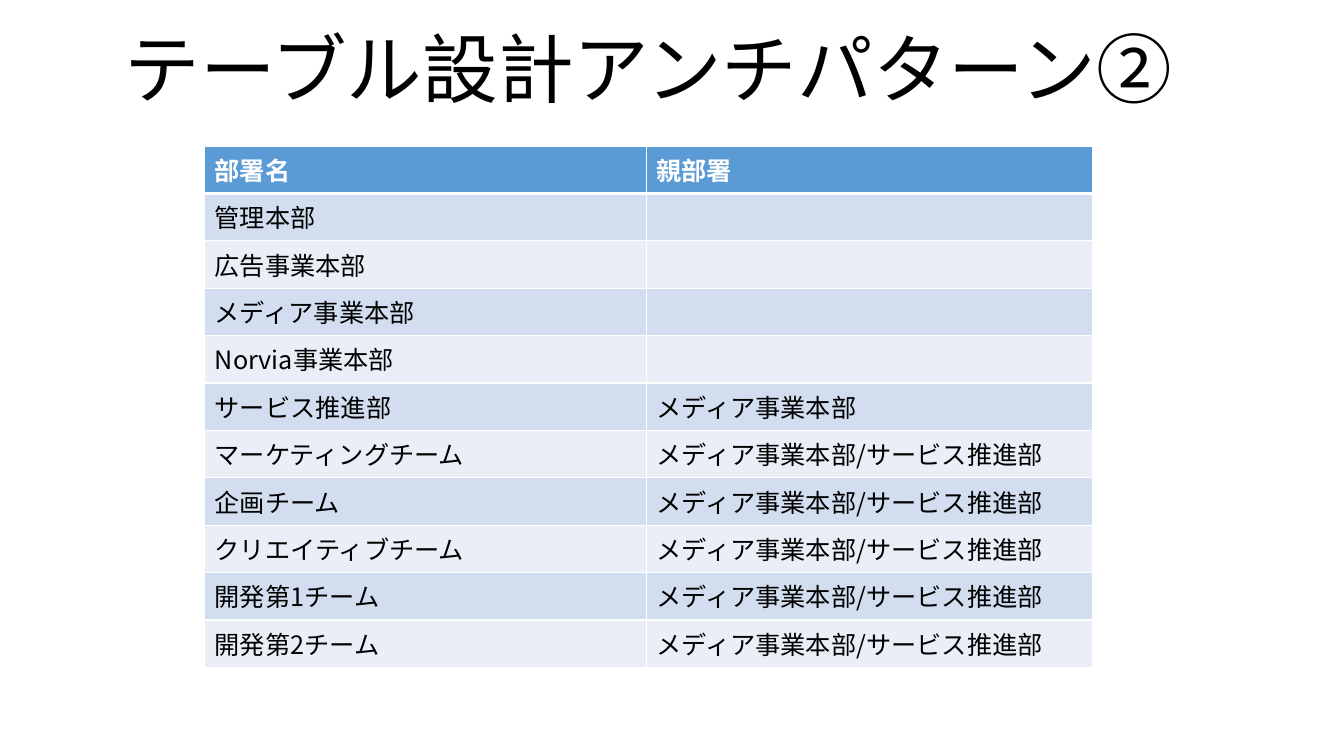
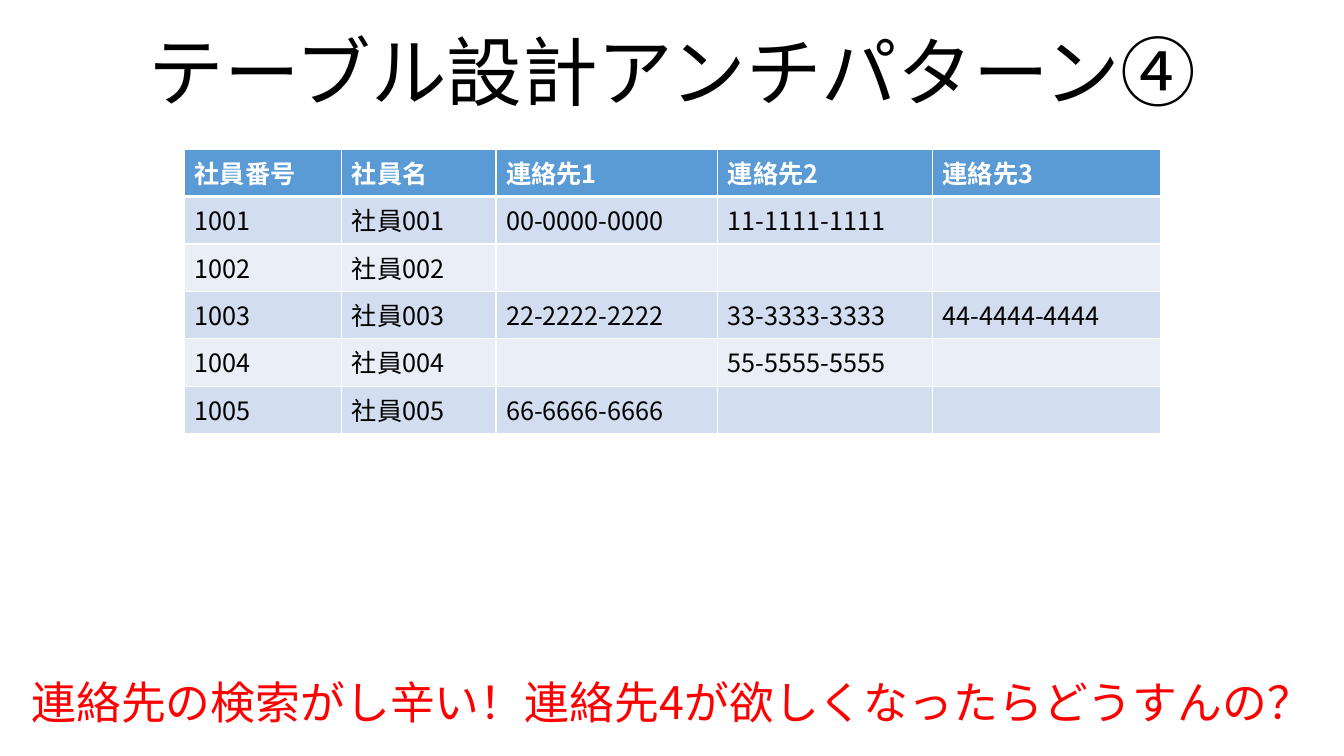
from lxml.etree import SubElement
from pptx import Presentation
from pptx.dml.color import RGBColor
from pptx.enum.text import MSO_ANCHOR as Anchor, MSO_AUTO_SIZE as AutoSize, PP_ALIGN as Align
from pptx.oxml.ns import qn
from pptx.util import Inches, Pt

WIDTH, HEIGHT = Inches(13.33), Inches(7.5)
FONT = "Noto Sans CJK JP"
COLORS = {
    "text": "000000",
    "header": "5B9BD5",
    "odd_row": "D2DEEF",
    "even_row": "EAEFF7",
    "white": "FFFFFF",
    "warning": "FF0000",
}
TITLE_FORMAT = {"size": Pt(54), "bold": False}
HEADER_FORMAT = {"size": Pt(18), "bold": True}
BODY_FORMAT = {"size": Pt(18), "bold": False}
NOTE_FORMAT = {"size": Pt(32), "bold": False}
TITLE_SIZE = (86.27, 19.33)
ROW_HEIGHT = 6.27
THIN, THICK = Pt(1), Pt(3)

SERVICE = "サービス推進部"
MEDIA = "メディア事業本部"
MEDIA_SERVICE = f"{MEDIA}/{SERVICE}"
TEAMS = ["マーケティングチーム", "企画チーム", "クリエイティブチーム", "開発第1チーム", "開発第2チーム"]
DEPARTMENTS = [
    ("部署名", "親部署"),
    ("管理本部", ""),
    ("広告事業本部", ""),
    (MEDIA, ""),
    ("Norvia事業本部", ""),
    (SERVICE, MEDIA),
    *[(team, MEDIA_SERVICE) for team in TEAMS],
]
CONTACTS = [
    ("00-0000-0000", "11-1111-1111", ""),
    ("", "", ""),
    ("22-2222-2222", "33-3333-3333", "44-4444-4444"),
    ("", "55-5555-5555", ""),
    ("66-6666-6666", "", ""),
]
EMPLOYEES = [
    ("社員番号", "社員名", "連絡先1", "連絡先2", "連絡先3"),
    *[(f"1{number:03}", f"社員{number:03}", *phones) for number, phones in enumerate(CONTACTS, 1)],
]


def across(percent):
    """Return a percentage of the slide width."""
    return round(WIDTH * percent / 100)


def down(percent):
    """Return a percentage of the slide height."""
    return round(HEIGHT * percent / 100)


def box(left, top, width, height):
    """Return a frame given in percentages of the slide."""
    return across(left), down(top), across(width), down(height)


def set_attributes(target, values):
    """Set each attribute named in a dict of values."""
    for name, value in values.items():
        setattr(target, name, value)


def write(text_frame, text, color, font_format, **paragraph_format):
    """Write one formatted paragraph."""
    paragraph = text_frame.paragraphs[0]
    set_attributes(paragraph, paragraph_format)
    run = paragraph.add_run()
    run.text = text
    set_attributes(run.font, {"name": FONT, **font_format})
    run.font.color.rgb = RGBColor.from_string(COLORS[color])
    SubElement(run.font._element, qn("a:ea"), typeface=FONT)


def add_titled_slide(presentation, title, left, top):
    """Add a title-only slide with its title in place."""
    slide = presentation.slides.add_slide(presentation.slide_layouts[5])
    shape = slide.shapes.title
    names = ("left", "top", "width", "height")
    set_attributes(shape, dict(zip(names, box(left, top, *TITLE_SIZE))))
    frame_format = {"vertical_anchor": Anchor.MIDDLE, "auto_size": AutoSize.NONE, "word_wrap": True}
    set_attributes(shape.text_frame, frame_format)
    write(shape.text_frame, title, "text", TITLE_FORMAT, alignment=Align.CENTER, line_spacing=0.9)
    return slide


def set_borders(cell, top, bottom):
    """Draw white borders around a cell."""
    properties = cell._tc.get_or_add_tcPr()
    for side, width in {"L": THIN, "R": THIN, "T": top, "B": bottom}.items():
        line = SubElement(properties, qn(f"a:ln{side}"), w=str(width))
        fill = SubElement(line, qn("a:solidFill"))
        SubElement(fill, qn("a:srgbClr"), val=COLORS["white"])


def format_cell(cell, text, row):
    """Fill, border and write a cell according to its row."""
    set_borders(cell, THICK if row == 1 else THIN, THICK if row == 0 else THIN)
    fill_color = "header" if row == 0 else "odd_row" if row % 2 else "even_row"
    cell.fill.solid()
    cell.fill.fore_color.rgb = RGBColor.from_string(COLORS[fill_color])
    if text:
        style = ("text", BODY_FORMAT) if row else ("white", HEADER_FORMAT)
        write(cell.text_frame, text, *style)


def add_data_table(slide, left, top, columns, rows):
    """Add a banded table with a header row."""
    frame = box(left, top, sum(columns), ROW_HEIGHT * len(rows))
    table = slide.shapes.add_table(len(rows), len(columns), *frame).table
    table.horz_banding = False
    for column, width in zip(table.columns, columns):
        column.width = across(width)
    for row, texts in enumerate(rows):
        table.rows[row].height = down(ROW_HEIGHT)
        for column, text in enumerate(texts):
            format_cell(table.cell(row, column), text, row)


def add_note(slide, text, top, height):
    """Add a warning line across the slide."""
    shape = slide.shapes.add_textbox(*box(0, top, 100, height))
    set_attributes(shape.text_frame, {"word_wrap": True, "auto_size": AutoSize.SHAPE_TO_FIT_TEXT})
    write(shape.text_frame, text, "warning", NOTE_FORMAT, alignment=Align.CENTER)


def main():
    """Build and save the presentation."""
    presentation = Presentation()
    set_attributes(presentation, {"slide_width": WIDTH, "slide_height": HEIGHT})

    slide = add_titled_slide(presentation, "テーブル設計アンチパターン②", 5.1, 0)
    add_data_table(slide, 15.23, 19.33, [32.86, 33.23], DEPARTMENTS)

    slide = add_titled_slide(presentation, "テーブル設計アンチパターン④", 6.9, 0.4)
    add_data_table(slide, 13.73, 19.73, [11.7, 11.48, 16.5, 15.98, 16.95], EMPLOYEES)
    add_note(slide, "連絡先の検索がし辛い！連絡先4が欲しくなったらどうすんの？", 88.53, 8.53)

    presentation.save("out.pptx")


main()
